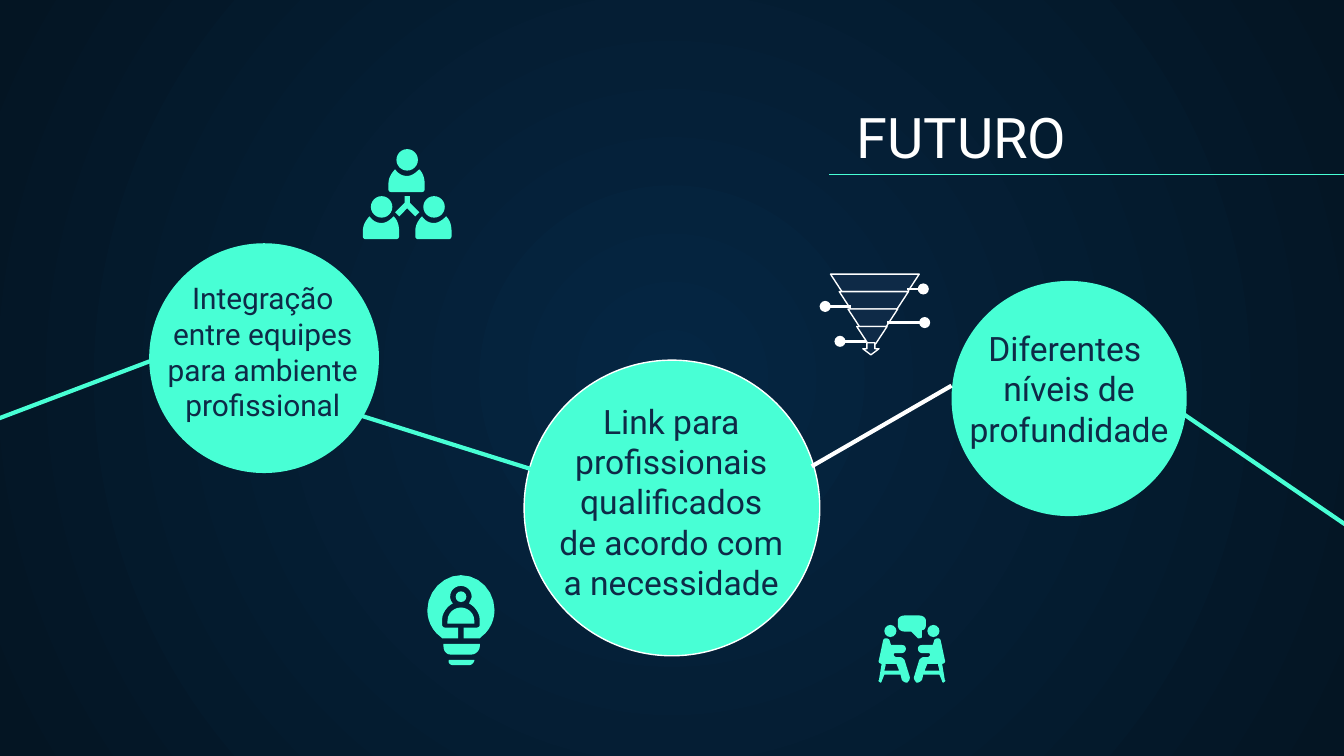
from lxml import etree
from pptx import Presentation
from pptx.dml.color import RGBColor
from pptx.enum.shapes import MSO_CONNECTOR, MSO_SHAPE
from pptx.enum.text import MSO_ANCHOR, MSO_AUTO_SIZE, PP_ALIGN
from pptx.oxml.ns import qn
from pptx.util import Inches, Pt

OVAL, DOWN_ARROW = MSO_SHAPE.OVAL, MSO_SHAPE.DOWN_ARROW
STRAIGHT = MSO_CONNECTOR.STRAIGHT
TOP, BOTTOM = MSO_ANCHOR.TOP, MSO_ANCHOR.BOTTOM
CENTER = PP_ALIGN.CENTER
NO_AUTOFIT = MSO_AUTO_SIZE.NONE

FONT = "Roboto"
COLORS = {"mint": "48FFD5", "white": "FFFFFF", "navy": "0E2A47",
          "glow": "052643", "edge": "041523"}

BUST = ("M 5 0 C 2 3 0 7 0 11 L 0 15 C 0 16 1 17 2 17 L 25 17 C 26 17 27 16 27 15 "
        "L 27 11 C 27 7 26 3 23 0 C 20 3 17 5 14 5 C 10 5 7 3 5 0")
TEAM_FORK = "M 7 0 L 7 5 L 0 12 L 3 15 L 9 9 L 15 15 L 18 12 L 11 5 L 11 0"
BULB_PARTS = [
    "M 25 0 C 12 0 0 12 0 26 C 0 33 3 41 10 46 L 11 47 L 23 47 L 23 39 L 13 39 "
    "C 12 39 11 38 11 37 L 11 33 C 11 28 15 23 19 21 C 18 20 17 18 17 16 "
    "C 17 11 21 8 25 8 C 29 8 33 11 33 16 C 33 17 32 19 31 21 C 35 23 39 28 39 33 "
    "L 39 37 C 39 38 38 39 37 39 L 27 39 L 27 47 L 39 47 L 40 46 "
    "C 47 41 50 33 50 26 C 50 12 39 0 25 0",
    "M 25 24 C 20 24 15 28 15 34 L 15 36 L 35 36 L 35 34 C 35 28 30 24 25 24",
    "M 12 51 L 12 53 C 12 56 14 59 17 59 L 33 59 C 36 59 39 56 39 53 L 39 51",
    "M 16 63 C 15 65 17 67 19 67 L 31 67 C 33 67 35 65 35 63",
]
SPEECH = ("M 20 0 C 17 0 15 2 15 4 L 15 7 C 15 10 17 12 20 12 L 25 12 L 30 17 "
          "C 31 17 33 17 33 16 L 33 11 C 35 11 36 9 36 7 L 36 4 C 36 2 34 0 31 0")
SITTER = ("M 14 36 L 16 41 L 5 41 L 6 37 L 6 36 M 6 17 C 5 17 4 18 4 19 L 1 33 "
          "C 0 35 2 36 3 36 L 1 48 C 0 49 1 49 2 50 C 3 50 3 49 3 49 L 5 44 L 17 44 "
          "L 18 48 C 19 49 20 50 22 50 C 23 49 24 48 24 46 L 20 33 C 19 32 18 31 17 31 "
          "L 14 31 C 13 31 12 30 12 29 C 12 28 13 28 14 28 L 18 28 C 20 28 21 26 21 25 "
          "C 21 23 20 22 18 22 L 10 22 L 9 19 C 9 18 8 17 6 17")


def rgb(name):
    """Return the named palette colour."""
    return RGBColor.from_string(COLORS[name])


def paint(shape, fill, line=None):
    """Set fill and outline and drop the shadow."""
    shape.shadow.inherit = False
    shape.fill.solid()
    shape.fill.fore_color.rgb = rgb(fill)
    if line:
        shape.line.color.rgb = rgb(line)
        shape.line.width = Pt(0.75)
    else:
        shape.line.fill.background()


def add_preset(slide, kind, box, fill="mint", line=None):
    """Add a painted preset shape in a box given in inches."""
    paint(slide.shapes.add_shape(kind, *map(Inches, box)), fill, line)


def add_line(slide, start, end, color="mint", width=2.25, dot=False):
    """Add a straight line, with a dot at its start if asked."""
    line = slide.shapes.add_connector(STRAIGHT, *map(Inches, (*start, *end)))
    line.line.color.rgb = rgb(color)
    line.line.width = Pt(width)
    if dot:
        etree.SubElement(line.line._get_or_add_ln(), qn("a:headEnd"), type="oval")
    etree.SubElement(line._element.spPr, qn("a:effectLst"))


def trace(contour, steps=6):
    """Turn line and curve commands into a list of points."""
    points = []
    for segment in contour.replace("C", "|C").replace("L", "|L").split("|"):
        numbers = [float(n) for n in segment.strip("CL ").split()]
        ends = list(zip(numbers[::2], numbers[1::2]))
        if segment.startswith("C"):
            knots = [points[-1], *ends]
            for step in range(1, steps + 1):
                t = step / steps
                weights = ((1 - t) ** 3, 3 * t * (1 - t) ** 2, 3 * t * t * (1 - t), t ** 3)
                points.append(tuple(sum(w * knot[axis] for w, knot in zip(weights, knots))
                                    for axis in (0, 1)))
        else:
            points += ends
    return points


def add_outline(slide, left, top, outline, fill="mint", line=None, mirror=None):
    """Add a freeform drawn in hundredths of an inch from left, top."""
    builder = None
    for contour in outline.split("M")[1:]:
        points = [(Inches(left + (x if mirror is None else mirror - x) / 100),
                   Inches(top + y / 100)) for x, y in trace(contour)]
        if builder is None:
            builder = slide.shapes.build_freeform(*points[0], scale=1.0)
        else:
            builder.move_to(*points[0])
        builder.add_line_segments(points[1:], close=True)
    paint(builder.convert_to_shape(), fill, line)


def write(shape, text, size=18, color="navy", anchor=TOP):
    """Fill a shape with centred lines of text."""
    frame = shape.text_frame
    frame.word_wrap = True
    frame.auto_size = NO_AUTOFIT
    frame.vertical_anchor = anchor
    frame.margin_left = frame.margin_right = Inches(0.1)
    frame.margin_top = frame.margin_bottom = Inches(0.1)
    for index, content in enumerate(text.split("\n")):
        paragraph = frame.add_paragraph() if index else frame.paragraphs[0]
        paragraph.alignment = CENTER
        run = paragraph.add_run()
        run.text = content
        run.font.name, run.font.size = FONT, Pt(size)
        run.font.color.rgb = rgb(color)


def set_background(slide):
    """Paint a radial gradient from the centre."""
    fill = slide.background.fill
    fill.gradient()
    for stop, name in zip(fill.gradient_stops, ("glow", "edge")):
        stop.color.rgb = rgb(name)
    gradient = slide._element.find(".//" + qn("a:gradFill"))
    gradient.remove(gradient.find(qn("a:lin")))
    radial = etree.SubElement(gradient, qn("a:path"), path="circle")
    etree.SubElement(radial, qn("a:fillToRect"), l="50000", t="50000", r="50000", b="50000")


def add_title(slide, left, top, width, height):
    """Place the title and the rule below it."""
    title = slide.shapes.title
    title.left, title.top, title.width, title.height = map(Inches, (left, top, width, height))
    write(title, "FUTURO", size=30, color="white", anchor=BOTTOM)
    add_line(slide, (left + 0.33, top + 0.6), (left + 4.21, top + 0.6), width=0.75)


def add_label(slide, box, text, size=18):
    """Add the wording of one stage."""
    write(slide.shapes.add_textbox(*map(Inches, box)), text, size)


def add_team(slide, left, top):
    """Draw three people joined by a fork."""
    for x, y in ((0.19, 0), (0, 0.35), (0.39, 0.35)):
        add_preset(slide, OVAL, (left + x + 0.06, top + y, 0.16, 0.16))
        add_outline(slide, left + x, top + y + 0.15, BUST)
    add_outline(slide, left + 0.24, top + 0.35, TEAM_FORK)


def add_bulb(slide, left, top):
    """Draw a light bulb with a person inside."""
    for part in BULB_PARTS:
        add_outline(slide, left, top, part)
    add_preset(slide, OVAL, (left + 0.21, top + 0.12, 0.08, 0.08))


def add_meeting(slide, left, top):
    """Draw two seated people facing each other under a speech bubble."""
    add_outline(slide, left, top, SPEECH)
    for head, mirror in ((0.05, None), (0.37, 51)):
        add_preset(slide, OVAL, (left + head, top + 0.07, 0.09, 0.09))
        add_outline(slide, left, top, SITTER, mirror=mirror)


def add_funnel(slide, left, top):
    """Draw a four-tier funnel with dotted callouts."""
    for tier in range(4):
        width = 66 - 14.5 * tier
        add_outline(slide, left + 0.04 + 0.065 * tier, top + 0.13 * tier,
                    f"M 0 0 L 8.5 13 L {width - 8.5} 13 L {width} 0", "navy", "white")
    for dot, end, y in ((0, 0.19, 0.24), (0.73, 0.61, 0.11), (0.74, 0.46, 0.36), (0.11, 0.3, 0.5)):
        add_line(slide, (left + dot, top + y), (left + end, top + y), "white", 1.5, dot=True)
    add_preset(slide, DOWN_ARROW, (left + 0.28, top + 0.51, 0.12, 0.09), "navy", "white")


def main():
    """Build the slide and save it."""
    deck = Presentation()
    deck.slide_width, deck.slide_height = Inches(10), Inches(10 * 9 / 16)
    slide = deck.slides.add_slide(deck.slide_layouts[5])
    set_background(slide)
    add_title(slide, 5.84, 0.7, 2.63, 0.66)
    for left, top, size, outline in ((1.11, 1.81, 1.71, None), (3.9, 2.68, 2.2, "white"),
                                     (7.08, 2.09, 1.75, None)):
        add_preset(slide, OVAL, (left, top, size, size), line=outline)
    add_line(slide, (2.55, 3.05), (4.3, 3.6))
    add_line(slide, (6.04, 3.47), (7.08, 2.87), "white")
    add_line(slide, (1.4, 2.58), (-0.66, 3.36))
    add_line(slide, (10.24, 4.06), (8.35, 2.77))
    add_label(slide, (1.08, 1.98, 1.75, 1.25),
              "Integração\nentre equipes\npara ambiente\nprofissional", 16)
    add_label(slide, (3.86, 2.88, 2.27, 1.91),
              "Link para\nprofissionais\nqualificados\nde acordo com\na necessidade")
    add_label(slide, (6.82, 2.34, 2.27, 1.25), "Diferentes \nníveis de\nprofundidade")
    add_team(slide, 2.7, 1.11)
    add_bulb(slide, 3.18, 4.28)
    add_meeting(slide, 6.53, 4.58)
    add_funnel(slide, 6.14, 2.04)
    deck.save("out.pptx")


if __name__ == "__main__":
    main()
